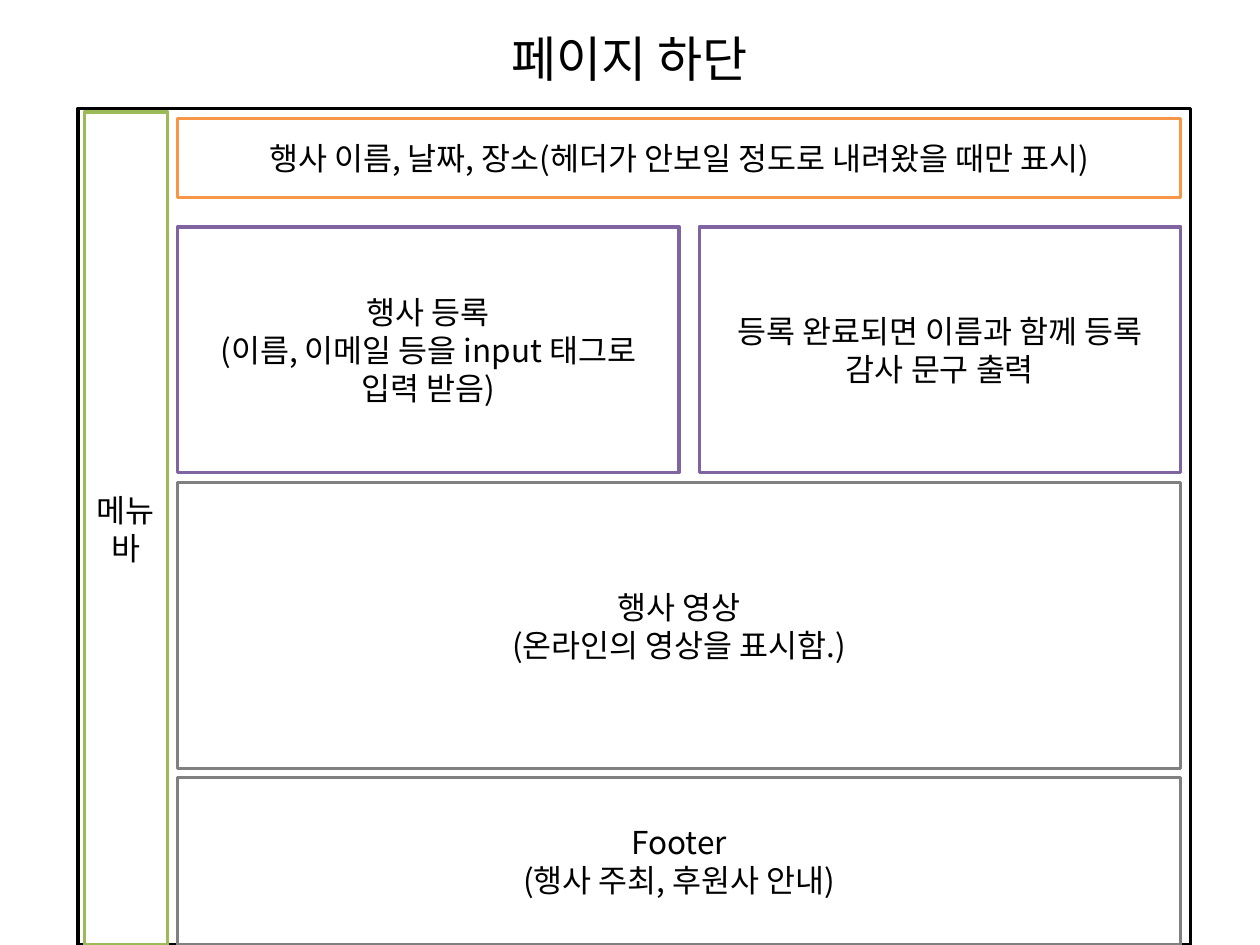
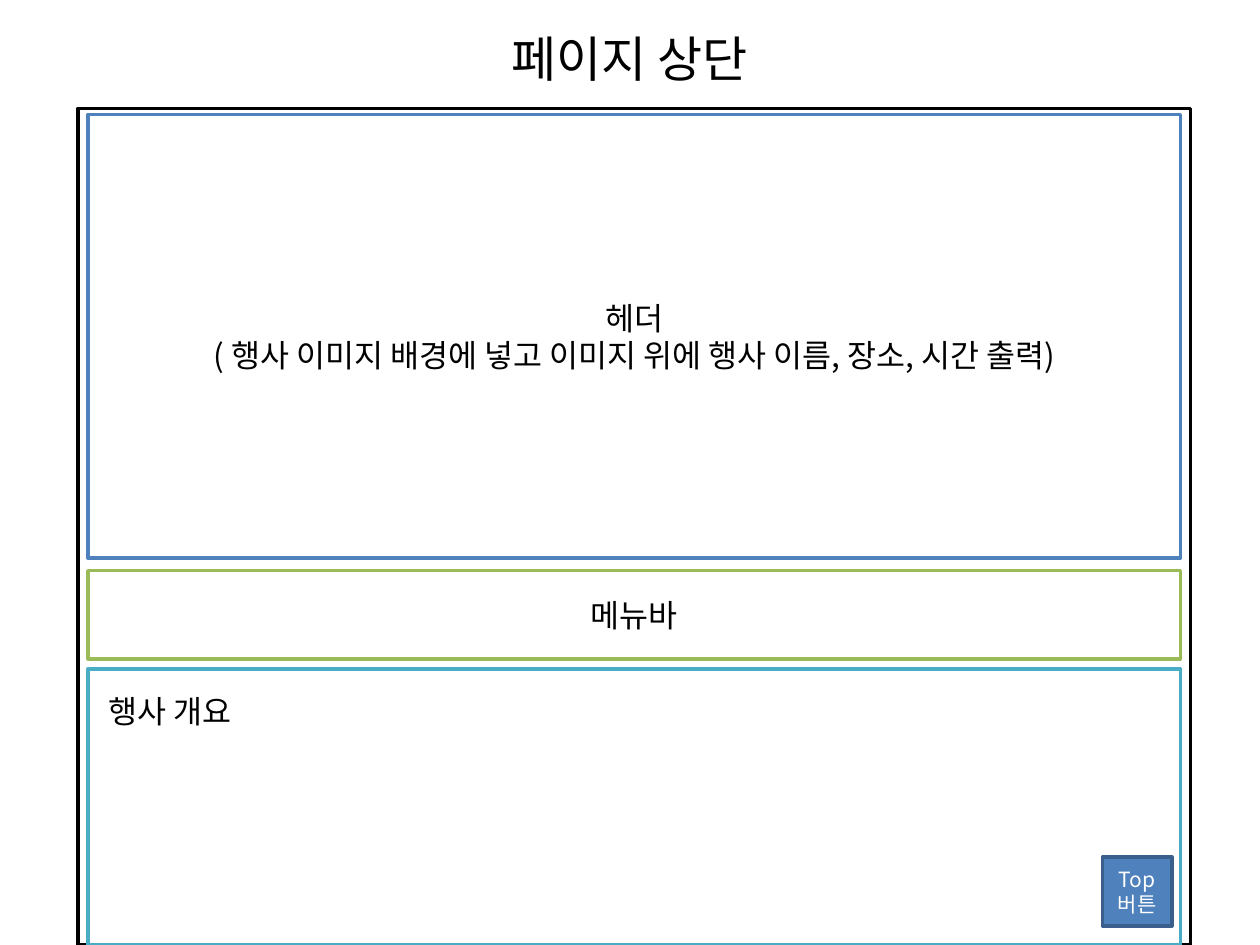
from pptx import Presentation
from pptx.dml.color import RGBColor
from pptx.enum.shapes import MSO_SHAPE as Shape
from pptx.enum.text import MSO_ANCHOR as Anchor, PP_ALIGN as Align
from pptx.oxml.ns import qn
from pptx.util import Inches, Pt

FONT = "Noto Sans CJK KR"
BLACK, WHITE = "000000", "FFFFFF"
BLUE, GREEN, PURPLE = "4F81BD", "9BBB59", "8064A2"
ORANGE, AQUA, GRAY, NAVY = "F79646", "4BACC6", "808080", "3A5F8C"

BASE = 7.5      # the page sketch runs off the slide's lower edge
LEFT, RIGHT = 0.7, 9.37
MAIN = 1.41     # left edge of the content beside the side menu


def color(code):
    return RGBColor.from_string(code)


def write(shape, text, size, code=BLACK, align=Align.CENTER):
    """Put text in a shape, one paragraph per line."""
    frame = shape.text_frame
    frame.word_wrap = True
    frame.vertical_anchor = Anchor.MIDDLE
    frame.text = text
    for para in frame.paragraphs:
        para.alignment = align
        for run in para.runs:
            font = run.font
            font.size, font.name = Pt(size), FONT
            font.color.rgb = color(code)
            east = font._element.makeelement(qn("a:ea"), {"typeface": FONT})
            font._element.find(qn("a:latin")).addnext(east)


def add_box(slide, left, top, right, bottom, line, fill=WHITE):
    """Draw an outlined rectangle between two corners."""
    box = slide.shapes.add_shape(
        Shape.RECTANGLE, Inches(left), Inches(top),
        Inches(right - left), Inches(bottom - top))
    box.shadow.inherit = False
    box.line.color.rgb = color(line)
    box.line.width = Pt(2)
    if fill:
        box.fill.solid()
        box.fill.fore_color.rgb = color(fill)
    else:
        box.fill.background()
    return box


def add_part(slide, left, top, right, bottom, line, text):
    write(add_box(slide, left, top, right, bottom, line), text, 18)


def add_page(deck, title):
    """Add a slide with its title and the black page frame."""
    slide = deck.slides.add_slide(deck.slide_layouts[6])
    head = slide.shapes.add_textbox(
        Inches(0.5), Inches(0.3), Inches(9), Inches(0.32))
    write(head, title, 28)
    add_box(slide, 0.62, 0.86, 9.45, BASE, BLACK, None)
    return slide


def add_intro(slide, text):
    """Add the overview box, with its text at the top left."""
    intro = add_box(slide, LEFT, 5.31, RIGHT, BASE, AQUA)
    write(intro, text, 18, align=Align.LEFT)
    frame = intro.text_frame
    frame.vertical_anchor = Anchor.TOP
    frame.margin_left, frame.margin_top = Inches(0.16), Inches(0.18)


def add_button(slide, text):
    side, left, top = 0.55, 8.75, 6.8
    button = add_box(slide, left, top, left + side, top + side, NAVY, BLUE)
    write(button, text, 12, WHITE)


def draw_lower(deck):
    slide = add_page(deck, "페이지 하단")
    add_part(slide, 0.67, 0.89, 1.33, BASE, GREEN, "메뉴바")
    add_part(slide, MAIN, 1.8, 5.39, 3.75, PURPLE,
             "행사 등록\n(이름, 이메일 등을 input 태그로 입력 받음)")
    add_part(slide, 5.55, 1.8, RIGHT, 3.75, PURPLE,
             "등록 완료되면 이름과 함께 등록 감사 문구 출력")
    rows = [
        (0.94, 1.57, ORANGE,
         "행사 이름, 날짜, 장소(헤더가 안보일 정도로 내려왔을 때만 표시)"),
        (3.83, 6.1, GRAY, "행사 영상\n(온라인의 영상을 표시함.)"),
        (6.17, BASE, GRAY, "Footer\n(행사 주최, 후원사 안내)"),
    ]
    for top, bottom, line, text in rows:
        add_part(slide, MAIN, top, RIGHT, bottom, line, text)


def draw_upper(deck):
    slide = add_page(deck, "페이지 상단")
    add_part(slide, LEFT, 4.53, RIGHT, 5.23, GREEN, "메뉴바")
    add_part(slide, LEFT, 0.91, RIGHT, 4.43, BLUE,
             "헤더\n( 행사 이미지 배경에 넣고 이미지 위에 행사 이름, 장소, 시간 출력)")
    add_intro(slide, "행사 개요")
    add_button(slide, "Top버튼")


def main():
    deck = Presentation()
    deck.slide_width, deck.slide_height = Inches(10), Inches(7.5)
    draw_lower(deck)
    draw_upper(deck)
    deck.save("out.pptx")


if __name__ == "__main__":
    main()
